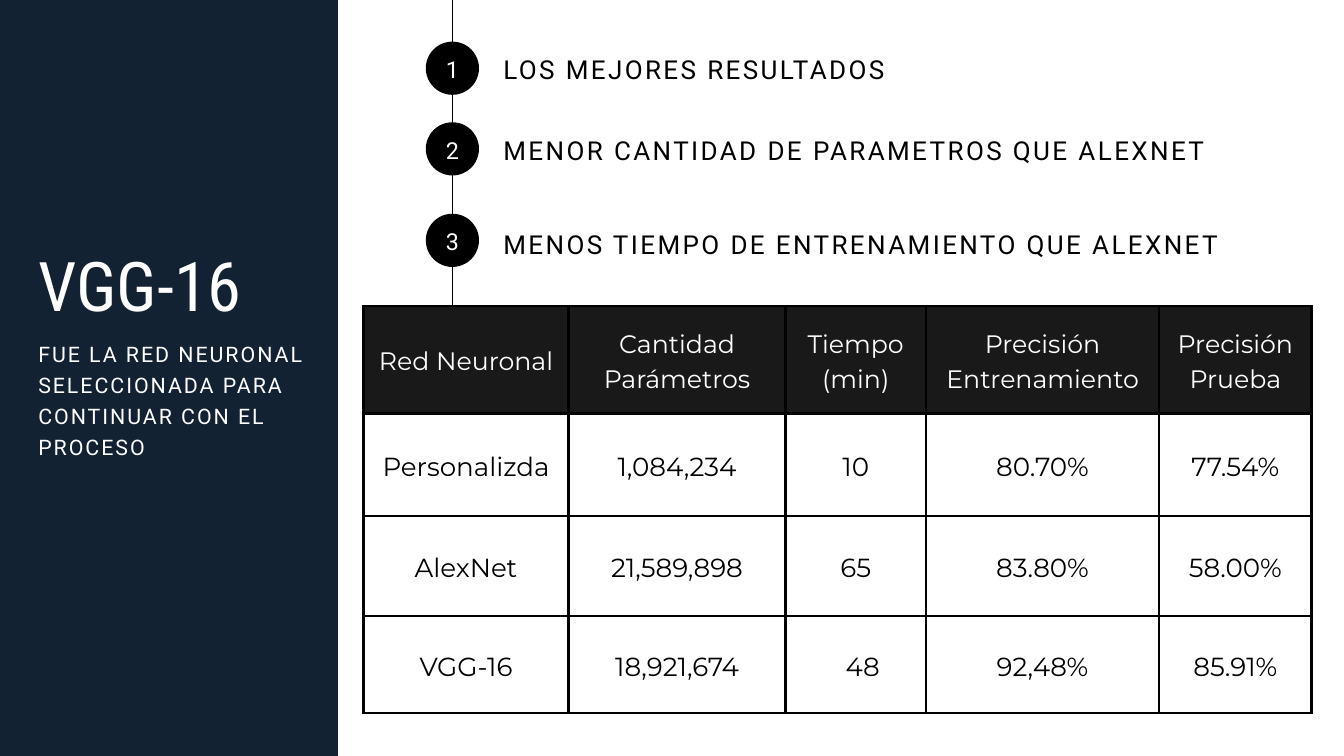
from dataclasses import dataclass
from typing import Any

from lxml import etree
from pptx import Presentation
from pptx.dml.color import RGBColor
from pptx.enum import shapes, text
from pptx.oxml import ns
from pptx.util import Pt


@dataclass(frozen=True)
class Theme:
    navy: str = "132232"
    black: str = "000000"
    white: str = "FFFFFF"
    header: str = "191919"
    body_font: str = "Roboto"
    title_font: str = "Roboto Condensed"
    table_font: str = "Montserrat"
    title_size: float = 73.4
    subtitle_size: float = 22.9
    number_size: float = 25
    reason_size: float = 27.9
    header_size: float = 27
    cell_size: float = 28


@dataclass(frozen=True)
class Reason:
    label: str
    circle_top: float
    label_top: float
    width: float


THEME = Theme()
AXIS = 484.7
DIAMETER = 57
REASONS = [
    Reason("LOS MEJORES RESULTADOS", 44.6, 50.4, 710.6),
    Reason("MENOR CANTIDAD DE PARAMETROS QUE ALEXNET", 131, 136.8, 798.5),
    Reason("MENOS TIEMPO DE ENTRENAMIENTO QUE ALEXNET", 229, 237.6, 819.4),
]
COLUMN_WIDTHS = [219.6, 232.5, 150.5, 249.8, 163.4]
ROW_HEIGHTS = [115.2, 110.2, 107.2, 103.7]
RESULTS = [
    ["Red Neuronal", "Cantidad Parámetros", "Tiempo (min)", "Precisión Entrenamiento", "Precisión Prueba"],
    ["Personalizda", "1,084,234", "10", "80.70%", "77.54%"],
    ["AlexNet", "21,589,898", "65", "83.80%", "58.00%"],
    ["VGG-16", "18,921,674", "48", "92,48%", "85.91%"],
]
CELL_INSET = 15
LEFT_SHIFTS = {"48": 15}


def write_text(frame: Any, content: str, *, size: float, color: str, font: str, leading: float,
               tracking: float = 0, align: Any = text.PP_ALIGN.LEFT) -> None:
    paragraph = frame.paragraphs[0]
    paragraph.alignment = align
    paragraph.line_spacing = Pt(leading)
    run = paragraph.add_run()
    run.text = content
    run.font.size = Pt(size)
    run.font.name = font
    run.font.color.rgb = RGBColor.from_string(color)
    if tracking:
        run.font._element.set("spc", str(round(tracking * 100)))


def prepare_frame(frame: Any, anchor: Any = text.MSO_ANCHOR.TOP, bottom: float = 0) -> None:
    frame.word_wrap = True
    frame.auto_size = text.MSO_AUTO_SIZE.NONE
    frame.vertical_anchor = anchor
    frame.margin_left = frame.margin_right = frame.margin_top = 0
    frame.margin_bottom = Pt(bottom)


def add_filled_shape(slide: Any, kind: Any, left: float, top: float, width: float, height: float,
                     color: str) -> Any:
    shape = slide.shapes.add_shape(kind, Pt(left), Pt(top), Pt(width), Pt(height))
    shape.shadow.inherit = False
    shape.fill.solid()
    shape.fill.fore_color.rgb = RGBColor.from_string(color)
    shape.line.fill.background()
    return shape


def add_label(slide: Any, left: float, top: float, width: float, height: float, content: str,
              **style: Any) -> None:
    frame = slide.shapes.add_textbox(Pt(left), Pt(top), Pt(width), Pt(height)).text_frame
    prepare_frame(frame)
    write_text(frame, content, **style)


def add_timeline(slide: Any) -> None:
    connector = slide.shapes.add_connector(
        shapes.MSO_CONNECTOR.STRAIGHT, Pt(AXIS), Pt(375.8), Pt(AXIS), Pt(0))
    connector.line.color.rgb = RGBColor.from_string(THEME.black)
    connector.line.width = Pt(0.75)
    etree.SubElement(connector.element.spPr, ns.qn("a:effectLst"))


def add_reason(slide: Any, number: int, reason: Reason) -> None:
    circle = add_filled_shape(slide, shapes.MSO_SHAPE.OVAL, AXIS - DIAMETER / 2, reason.circle_top,
                              DIAMETER, DIAMETER, THEME.black)
    prepare_frame(circle.text_frame, text.MSO_ANCHOR.MIDDLE, bottom=4)
    write_text(circle.text_frame, str(number), size=THEME.number_size, color=THEME.white,
               font=THEME.body_font, leading=36.2, tracking=2.3, align=text.PP_ALIGN.CENTER)
    add_label(slide, 539.3, reason.label_top, reason.width, 38.9, reason.label,
              size=THEME.reason_size, color=THEME.black, font=THEME.body_font, leading=40.5, tracking=2.6)


def format_cell(cell: Any, content: str, is_header: bool) -> None:
    properties = cell._tc.get_or_add_tcPr()
    for side in ("lnL", "lnR", "lnT", "lnB"):
        border = etree.SubElement(properties, ns.qn(f"a:{side}"), w=str(Pt(3)))
        fill = etree.SubElement(border, ns.qn("a:solidFill"))
        etree.SubElement(fill, ns.qn("a:srgbClr"), val=THEME.black)
    if is_header:
        cell.fill.solid()
        cell.fill.fore_color.rgb = RGBColor.from_string(THEME.header)
    else:
        cell.fill.background()
    cell.vertical_anchor = text.MSO_ANCHOR.MIDDLE
    cell.margin_right = cell.margin_top = cell.margin_bottom = Pt(CELL_INSET)
    cell.margin_left = Pt(CELL_INSET + LEFT_SHIFTS.get(content, 0))
    size = THEME.header_size if is_header else THEME.cell_size
    write_text(cell.text_frame, content, size=size, color=THEME.white if is_header else THEME.black,
               font=THEME.table_font, leading=size * 1.4, align=text.PP_ALIGN.CENTER)


def add_results(slide: Any) -> None:
    table = slide.shapes.add_table(len(RESULTS), len(COLUMN_WIDTHS), Pt(389.5), Pt(327.6),
                                   Pt(sum(COLUMN_WIDTHS)), Pt(sum(ROW_HEIGHTS))).table
    table.first_row = False
    table.horz_banding = False
    for column, width in zip(table.columns, COLUMN_WIDTHS):
        column.width = Pt(width)
    for row_index, (row, height) in enumerate(zip(table.rows, ROW_HEIGHTS)):
        row.height = Pt(height)
        for cell, content in zip(row.cells, RESULTS[row_index]):
            format_cell(cell, content, row_index == 0)


def place_title(slide: Any) -> None:
    title = slide.shapes.title
    title.left, title.top, title.width, title.height = Pt(41), Pt(264.2), Pt(321), Pt(85.7)
    prepare_frame(title.text_frame)
    write_text(title.text_frame, "VGG-16", size=THEME.title_size, color=THEME.white,
               font=THEME.title_font, leading=84.4)
    title.element.getparent().append(title.element)


def main() -> None:
    presentation = Presentation()
    presentation.slide_width, presentation.slide_height = Pt(1440), Pt(810)
    slide = presentation.slides.add_slide(presentation.slide_layouts.get_by_name("Title Only"))
    add_filled_shape(slide, shapes.MSO_SHAPE.RECTANGLE, 0, 0, 362, 810, THEME.navy)
    add_timeline(slide)
    for number, reason in enumerate(REASONS, start=1):
        add_reason(slide, number, reason)
    add_results(slide)
    place_title(slide)
    add_label(slide, 41, 359.3, 289.4, 130.3,
              "FUE LA RED NEURONAL SELECCIONADA PARA CONTINUAR CON EL PROCESO",
              size=THEME.subtitle_size, color=THEME.white, font=THEME.body_font, leading=33.3, tracking=2.1)
    presentation.save("out.pptx")


if __name__ == "__main__":
    main()
